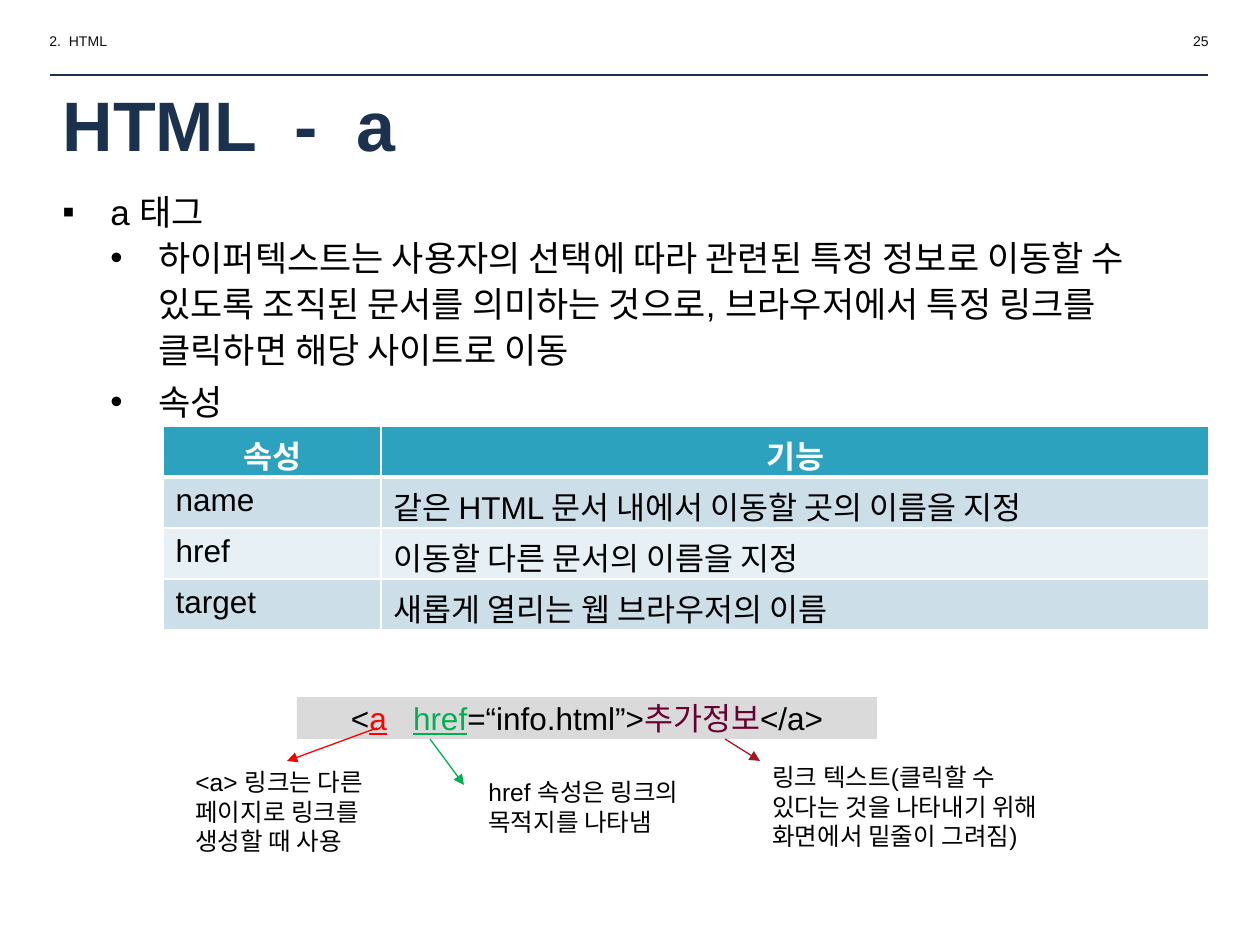
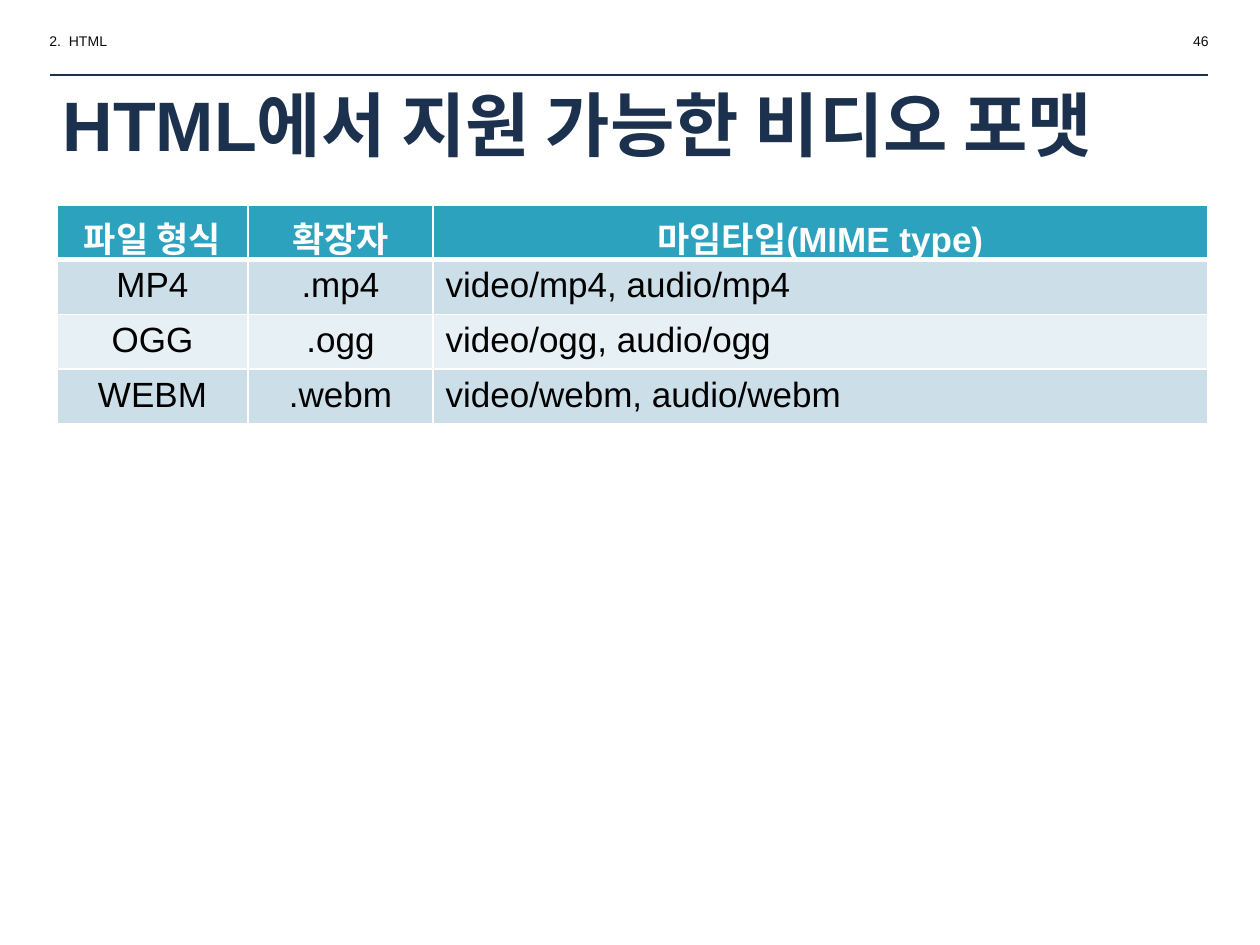
from lxml import etree
from pptx import Presentation
from pptx.dml.color import RGBColor
from pptx.enum.shapes import MSO_CONNECTOR, MSO_SHAPE
from pptx.enum.text import MSO_ANCHOR, MSO_AUTO_SIZE, PP_ALIGN
from pptx.oxml.ns import qn
from pptx.util import Pt

LEFT, CENTER, RIGHT = PP_ALIGN.LEFT, PP_ALIGN.CENTER, PP_ALIGN.RIGHT
TOP, MIDDLE = MSO_ANCHOR.TOP, MSO_ANCHOR.MIDDLE
NO_FIT = MSO_AUTO_SIZE.NONE
STRAIGHT, RECTANGLE = MSO_CONNECTOR.STRAIGHT, MSO_SHAPE.RECTANGLE
TITLE_ONLY = 5

NAVY = RGBColor(0x1C, 0x31, 0x4E)
INK = RGBColor(0x0C, 0x0C, 0x0C)
BLACK = RGBColor(0, 0, 0)
WHITE = RGBColor(0xFF, 0xFF, 0xFF)
TEAL = RGBColor(0x2D, 0xA2, 0xBF)
BANDS = [RGBColor(0xCC, 0xDF, 0xE8), RGBColor(0xE7, 0xF0, 0xF4)]
GRAY = RGBColor(0xDA, 0xDA, 0xDA)
RED = RGBColor(0xFF, 0, 0)
GREEN = RGBColor(0, 0xB0, 0x50)
PLUM = RGBColor(0x66, 0, 0x33)
BRICK = RGBColor(0xA3, 0x17, 0x1E)

PX = 914400 / 126  # EMU in one px


def write(shape, spans, size, alignment=LEFT, anchor=TOP, bold=False):
    """Fill a shape or cell with one paragraph of (text, colour, underline) spans."""
    frame = shape.text_frame
    frame.word_wrap = True
    frame.vertical_anchor = anchor
    para = frame.paragraphs[0]
    para.alignment = alignment
    for text, color, underline in spans:
        span = para.add_run()
        span.text = text
        formats = {"name": "Arial", "size": Pt(size), "bold": bold, "underline": underline}
        for name, value in formats.items():
            setattr(span.font, name, value)
        span.font.color.rgb = color


def add_grid(page, left, top, widths, rows, size, centered_columns, anchor):
    """Add a table with a teal header, banded rows and white borders."""
    row_height = 51
    box = [round(v * PX) for v in (left, top, sum(widths), row_height * len(rows))]
    table = page.shapes.add_table(len(rows), len(widths), *box).table
    for column, width in zip(table.columns, widths):
        column.width = round(width * PX)
    for r, row in enumerate(rows):
        table.rows[r].height = round(row_height * PX)
        header = r == 0
        for c, text in enumerate(row):
            cell = table.cell(r, c)
            centered = header or c in centered_columns
            write(cell, [(text, WHITE if header else BLACK, False)], size,
                  CENTER if centered else LEFT, anchor if centered else TOP, header)
            weights = {"L": 1, "R": 1, "T": 3 if r == 1 else 1, "B": 3 if header else 1}
            properties = cell._tc.get_or_add_tcPr()
            for side, weight in weights.items():
                border = etree.SubElement(properties, qn("a:ln" + side), w=str(Pt(weight)))
                fill = etree.SubElement(border, qn("a:solidFill"))
                etree.SubElement(fill, qn("a:srgbClr"), val=str(WHITE))
            cell.fill.solid()
            cell.fill.fore_color.rgb = TEAL if header else BANDS[(r - 1) % 2]


deck = Presentation()
deck.slide_width, deck.slide_height = round(1260 * PX), round(945 * PX)

# Shared header, rule and title
pages = []
for title_text, number in [("HTML  -  a", "25"), ("HTML에서 지원 가능한 비디오 포맷", "46")]:
    page = deck.slides.add_slide(deck.slide_layouts[TITLE_ONLY])
    pages.append(page)
    rule = page.shapes.add_connector(STRAIGHT, *[round(v * PX) for v in (50, 75, 1208, 75)])
    rule.line.color.rgb = NAVY
    rule.line.width = Pt(0.75)

    title = page.shapes.title
    title.left, title.top, title.width, title.height = [
        round(v * PX) for v in (50, 83, 1153, 81)]
    title.text_frame.auto_size = NO_FIT
    write(title, [(title_text, NAVY, False)], 40, anchor=MIDDLE, bold=True)

    for left, text, alignment in [(37, "2.  HTML", LEFT), (1003, number, RIGHT)]:
        box = page.shapes.add_textbox(*[round(v * PX) for v in (left, 26, 218, 30)])
        write(box, [(text, INK, False)], 8, alignment)

anchor_page, video_page = pages

# Bulleted explanation
body = anchor_page.shapes.add_textbox(*[round(v * PX) for v in (50, 184, 1131, 238)])
body.text_frame.word_wrap = True
bullets = [
    (0, "▪", "a 태그", 1.0, 0),
    (1, "•", "하이퍼텍스트는 사용자의 선택에 따라 관련된 특정 정보로 이동할 수 있도록 "
             "조직된 문서를 의미하는 것으로, 브라우저에서 특정 링크를 클릭하면 해당 사이트로 이동",
     1.1, 0),
    (1, "•", "속성", 1.1, 3),
]
for index, (level, mark, text, spacing, before) in enumerate(bullets):
    para = body.text_frame.add_paragraph() if index else body.text_frame.paragraphs[0]
    properties = para._p.get_or_add_pPr()
    properties.set("marL", str(round(48 * (level + 1) * PX)))
    properties.set("indent", str(round(-48 * PX)))
    color = etree.SubElement(properties, qn("a:buClr"))
    etree.SubElement(color, qn("a:srgbClr"), val=str(BLACK))
    etree.SubElement(properties, qn("a:buFont"), typeface="Arial")
    etree.SubElement(properties, qn("a:buChar"), char=mark)
    formats = {"level": level, "line_spacing": spacing, "space_before": Pt(before)}
    for name, value in formats.items():
        setattr(para, name, value)
    span = para.add_run()
    span.text = text
    span.font.name = "Arial"
    span.font.size = Pt(20)
    span.font.color.rgb = BLACK

# Attribute table
add_grid(anchor_page, 163, 426, [218, 828], [
    ("속성", "기능"),
    ("name", "같은 HTML 문서 내에서 이동할 곳의 이름을 지정"),
    ("href", "이동할 다른 문서의 이름을 지정"),
    ("target", "새롭게 열리는 웹 브라우저의 이름"),
], 18, [], TOP)

# Code example
code = anchor_page.shapes.add_shape(
    RECTANGLE, *[round(v * PX) for v in (297, 697, 580, 42)])
code.shadow.inherit = False
code.fill.solid()
code.fill.fore_color.rgb = GRAY
code.line.fill.background()
write(code, [
    ("<", BLACK, False),
    ("a", RED, True),
    ("   ", BLACK, False),
    ("href", GREEN, True),
    ("=“info.html”>", BLACK, False),
    ("추가정보", PLUM, False),
    ("</a>", BLACK, False),
], 18, CENTER, MIDDLE)

# Notes with the arrows that lead to them
notes = [
    ("<a> 링크는 다른 페이지로 링크를 생성할 때 사용",
     (183, 761, 209, 102), RED, (377, 728, 287, 761)),
    ("href 속성은 링크의 목적지를 나타냄",
     (476, 771, 222, 102), GREEN, (430, 739, 464, 785)),
    ("링크 텍스트(클릭할 수 있다는 것을 나타내기 위해 화면에서 밑줄이 그려짐)",
     (760, 756, 294, 102), BRICK, (725, 739, 760, 761)),
]
for text, place, color, ends in notes:
    box = anchor_page.shapes.add_textbox(*[round(v * PX) for v in place])
    write(box, [(text, BLACK, False)], 14)
    arrow = anchor_page.shapes.add_connector(STRAIGHT, *[round(v * PX) for v in ends])
    arrow.line.color.rgb = color
    arrow.line.width = Pt(0.75)
    etree.SubElement(arrow.line._get_or_add_ln(), qn("a:tailEnd"), type="triangle")

# Video format table
add_grid(video_page, 57, 205, [191, 185, 775], [
    ("파일 형식", "확장자", "마임타입(MIME type)"),
    ("MP4", ".mp4", "video/mp4, audio/mp4"),
    ("OGG", ".ogg", "video/ogg, audio/ogg"),
    ("WEBM", ".webm", "video/webm, audio/webm"),
], 20, [0, 1], MIDDLE)

# Lines without shadows
for page in pages:
    for line in page.element.iter(qn("p:cxnSp")):
        etree.SubElement(line.spPr, qn("a:effectLst"))

deck.save("out.pptx")
